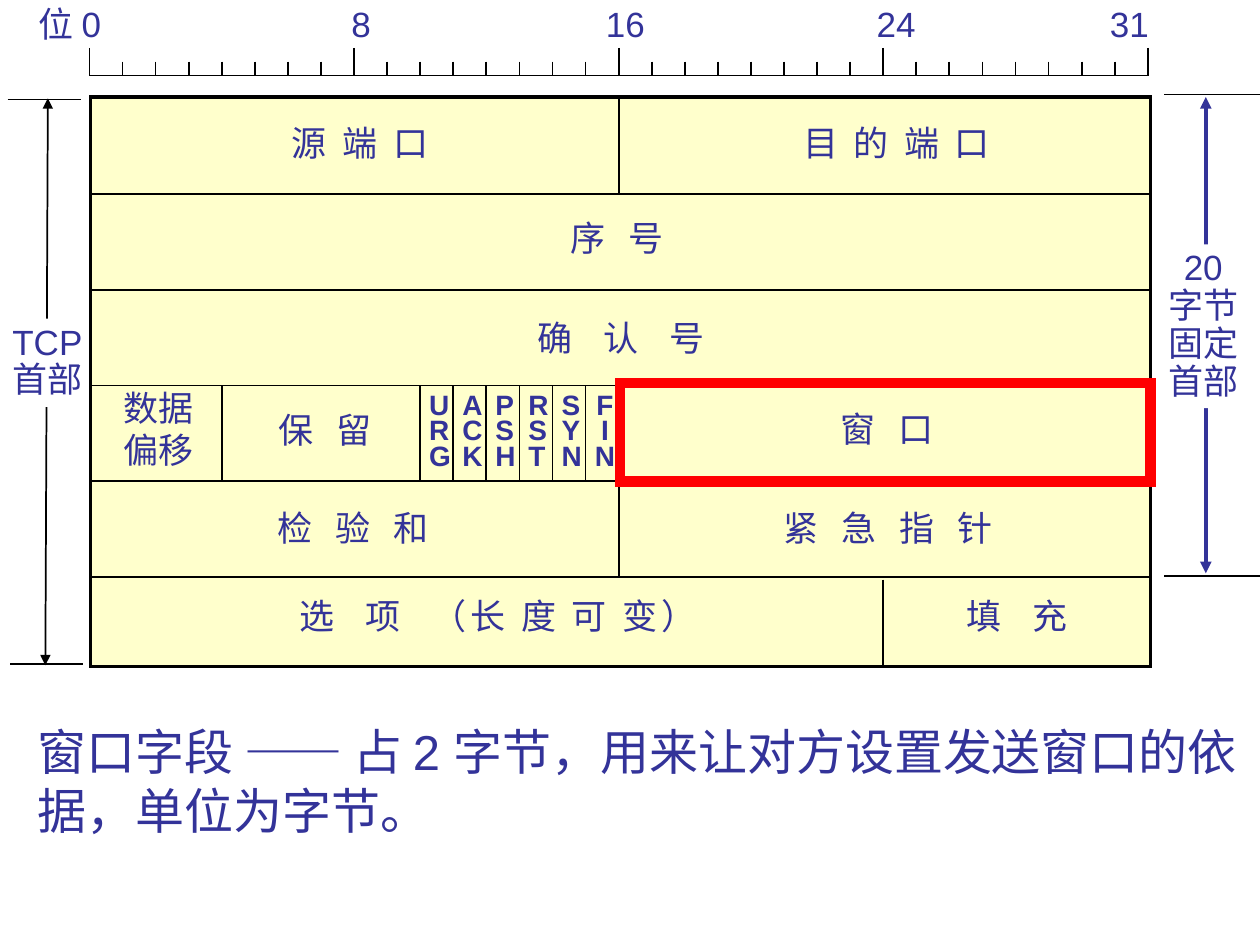
from lxml import etree
from pptx import Presentation
from pptx.dml.color import RGBColor
from pptx.enum.shapes import MSO_CONNECTOR, MSO_SHAPE
from pptx.enum.text import MSO_ANCHOR, MSO_AUTO_SIZE, PP_ALIGN
from pptx.oxml.ns import qn
from pptx.util import Inches, Pt

RECT, STRAIGHT = MSO_SHAPE.RECTANGLE, MSO_CONNECTOR.STRAIGHT
TOP, BOTTOM = MSO_ANCHOR.TOP, MSO_ANCHOR.BOTTOM
LEFT, CENTER = PP_ALIGN.LEFT, PP_ALIGN.CENTER
GROW, FIXED = MSO_AUTO_SIZE.SHAPE_TO_FIT_TEXT, MSO_AUTO_SIZE.NONE
INK, BLACK, WHITE, CREAM, RED = "333399", "000000", "FFFFFF", "FFFFCC", "FF0000"
rgb = RGBColor.from_string

# Header grid: 32 bit columns, 32-bit word rows
X0, BIT, BITS = 0.71, 0.2625, 32
Y0, ROW = 0.78, 0.76
RIGHT, FOOT = X0 + BITS * BIT, 5.29
RULER = 0.6

prs = Presentation()
prs.slide_width, prs.slide_height = Inches(10), Inches(7.5)
s = prs.slides.add_slide(prs.slide_layouts[6])


def box(x, y, w, h, text="", size=20, bold=False, align=LEFT, spacing=None, gaps=(1,),
        wrap=False, anchor=TOP, auto=GROW, fill=None, border=None, weight=1, tabs=()):
    """Add a rectangle if it has a border, else a text box.

    "|" separates runs; gaps gives the width of each run's word gaps, in spaces.
    """
    area = [Inches(v) for v in (x, y, w, h)]
    sp = s.shapes.add_shape(RECT, *area) if border else s.shapes.add_textbox(*area)
    if border:
        sp.shadow.inherit = False
        sp.line.color.rgb, sp.line.width = rgb(border), Pt(weight)
        etree.SubElement(sp.line._get_or_add_ln(), qn("a:miter"), lim="800000")
    if fill:
        sp.fill.solid()
        sp.fill.fore_color.rgb = rgb(fill)
    else:
        sp.fill.background()
    if not text:
        return
    tf = sp.text_frame
    tf.word_wrap, tf.auto_size, tf.vertical_anchor = wrap, auto, anchor
    for i, content in enumerate(text.split("\n")):
        p = tf.add_paragraph() if i else tf.paragraphs[0]
        p.alignment = align
        if spacing:
            p.line_spacing = spacing
        if tabs:
            stops = etree.SubElement(p._p.get_or_add_pPr(), qn("a:tabLst"))
            for stop in tabs:
                etree.SubElement(stops, qn("a:tab"), pos=str(Inches(stop)), algn="l")
        for part, gap in zip(content.split("|"), gaps):
            r = p.add_run()
            r.text = part
            r.font.name, r.font.size, r.font.bold = "Arial", Pt(size), bold
            r.font.color.rgb = rgb(INK)
            if gap > 1:  # widen by about 0.11 em a character for each further space
                r._r.get_or_add_rPr().set("spc", str((gap - 1) * size * 11))


def line(x1, y1, x2, y2, color=BLACK, width=1, arrows=False):
    c = s.shapes.add_connector(STRAIGHT, *[Inches(v) for v in (x1, y1, x2, y2)])
    c.line.color.rgb, c.line.width = rgb(color), Pt(width)
    etree.SubElement(c._element.spPr, qn("a:effectLst"))
    if arrows:
        for end in ("a:headEnd", "a:tailEnd"):
            etree.SubElement(c.line._get_or_add_ln(), qn(end), type="triangle")


# Extent arrows and their labels beside the header
line(0.38, Y0, 0.36, 5.28, arrows=True)
box(0, 2.53, 0.76, 0.7, "TCP\n首部", spacing=0.9, fill=WHITE)
line(9.57, 0.77, 9.57, 4.55, INK, 2.25, arrows=True)
box(9.17, 1.94, 0.76, 1.3, "20\n字节\n固定\n首部", align=CENTER, spacing=0.9, fill=WHITE)
for x1, x2, y in ((9.24, 10, 0.75), (9.24, 10, 4.57), (0.06, 0.64, 0.79), (0.08, 0.66, 5.27)):
    line(x1, y, x2, y)

# Header body, row rules and field separators
box(0.72, 0.77, 8.41, 4.52, fill=CREAM, border=BLACK, weight=2)
for row in range(1, 6):
    line(X0, Y0 + row * ROW, 9.13, Y0 + row * ROW)
separators = [(16, 0, 1), (16, 3, 5), (4, 3, 4)] + [(bit, 3, 4) for bit in range(10, 16)]
for bit, top, bottom in separators:
    line(X0 + bit * BIT, Y0 + top * ROW, X0 + bit * BIT, Y0 + bottom * ROW)
line(X0 + 24 * BIT, 4.6, X0 + 24 * BIT, FOOT)

# Field names: first bit, row, width in bits, text, gaps
fields = [
    (5.75, 0.18, 4.88, "源 端 口", (2,)),
    (21.2, 0.18, 6.44, "目 的 端 口", (2,)),
    (14.17, 1.17, 3.58, "序 号", (3,)),
    (13.18, 2.21, 5.9, "确 认 号", (4,)),
    (5.33, 3.18, 3.58, "保 留", (3,)),
    (22.32, 3.16, 3.58, "窗 口", (3,)),
    (5.3, 4.2, 5.37, "检 验 和", (3,)),
    (20.6, 4.2, 7.12, "紧 急 指 针", (3,)),
    (5.98, 5.12, 13.33, "选 项 |（长 度 可 变）", (4, 2)),
    (26.13, 5.12, 3.9, "填 充", (4,)),
]
for bit, row, bits, name, gaps in fields:
    box(X0 + bit * BIT, Y0 + row * ROW, bits * BIT, 0.43, name, gaps=gaps)
box(0.88, 3.02, 0.76, 0.76, "数据\n偏移")
for i, flag in enumerate(("URG", "ACK", "PSH", "RST", "SYN", "FIN")):
    box(X0 + (9.9 + i) * BIT, 3.09, 0.36, 0.7, "\n".join(flag), size=16, bold=True,
        spacing=0.75, align=CENTER if flag == "FIN" else LEFT)

# Bit ruler with a long tick at every byte
line(X0, RULER, RIGHT, RULER)
for bit in range(BITS + 1):
    line(X0 + bit * BIT, 0.49 if bit % 8 else 0.38, X0 + bit * BIT, RULER)
box(0.21, -0.03, 9.04, 0.43, "位 0\t8\t16\t24\t31", wrap=True, tabs=(2.48, 4.5, 6.65, 8.5))

# Highlighted window field and its explanation
box(4.92, 3.04, 4.21, 0.78, border=RED, weight=6)
box(0.2, 5.48, 9.73, 1.23, "窗口字段 —— 占 2 字节，用来让对方设置发送窗口的依据，单位为字节。",
    size=28, wrap=True, anchor=BOTTOM, auto=FIXED)

prs.save("out.pptx")
